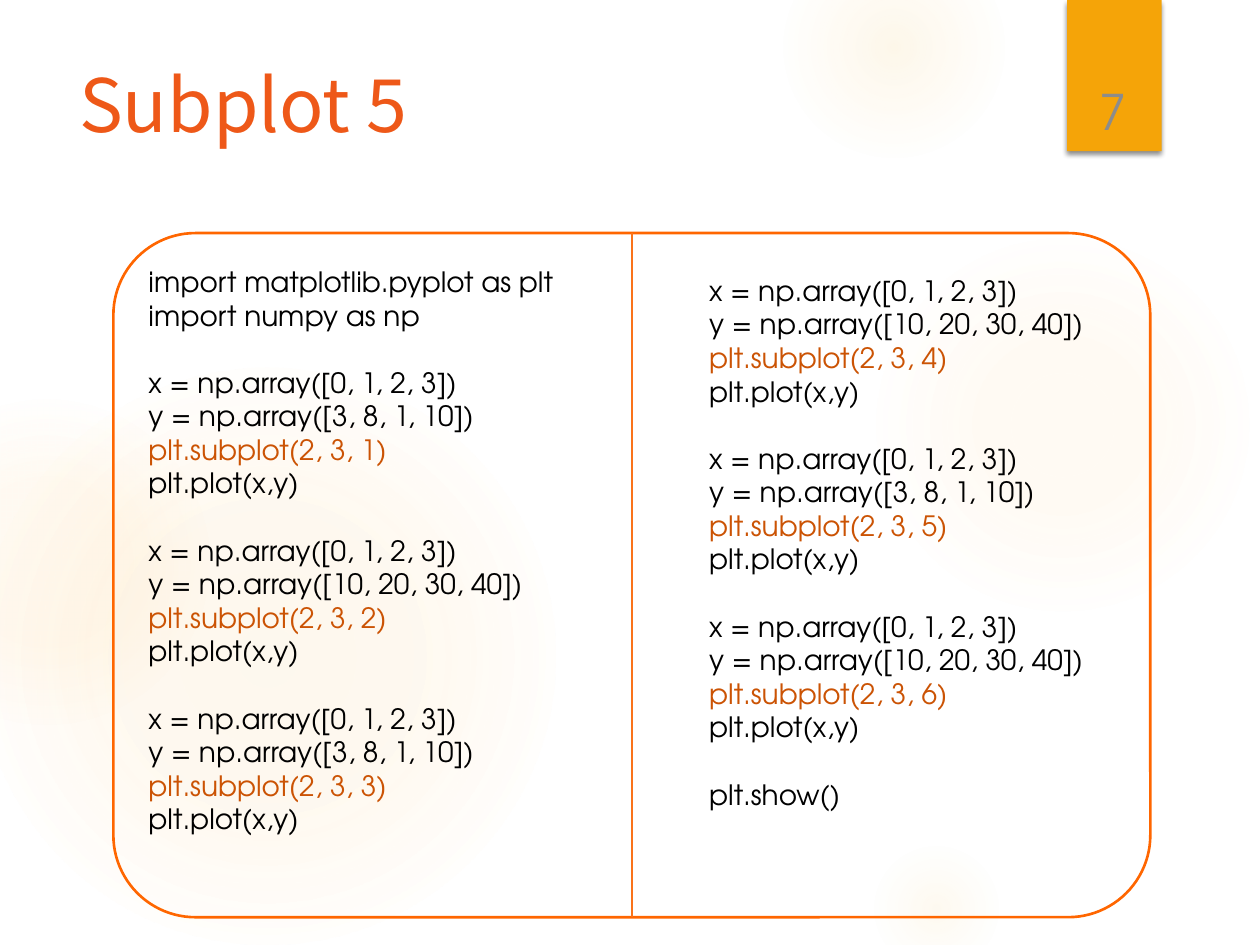
import dataclasses

import lxml.etree
import pptx
import pptx.dml.color
import pptx.enum.shapes
import pptx.enum.text
import pptx.oxml
import pptx.oxml.ns
import pptx.util

Inches = pptx.util.Inches
Pt = pptx.util.Pt
Shape = pptx.enum.shapes.MSO_SHAPE
Anchor = pptx.enum.text.MSO_ANCHOR
Align = pptx.enum.text.PP_ALIGN
qn = pptx.oxml.ns.qn


@dataclasses.dataclass(frozen=True)
class Theme:
    """Colours, fonts and type sizes of the slide."""
    glow: str = "FAC96A"
    tab: str = "F5A408"
    title: str = "EE5818"
    frame: str = "FF6600"
    rule: str = "FA731A"
    code: str = "000000"
    mark: str = "CB5304"
    number: str = "8C8C8C"
    head_font: str = "Noto Sans CJK KR"
    body_font: str = "TeX Gyre Adventor"
    head_size: int = 42
    number_size: int = 28
    code_size: int = 16
    code_gap: float = 19.2


THEME = Theme()

GLOWS = [
    ((6.89, 1.83, 3.08), ((0, 7), (36, 6), (69, 0))),
    ((6.22, -0.5, 1.75), ((0, 14), (36, 7), (73, 0))),
    ((6.89, 6.67, 1.08), ((0, 10), (31, 5), (66, 0))),
    ((-0.17, 2.92, 4.58), ((0, 11), (36, 10), (75, 0))),
    ((-0.92, 3.17, 2.58), ((0, 8), (36, 8), (72, 0))),
]
IMPORTS = ["import matplotlib.pyplot as plt", "import numpy as np"]
RISE = "3, 8, 1, 10"
LINEAR = "10, 20, 30, 40"


def rgb(code):
    """Return a colour from its hex code."""
    return pptx.dml.color.RGBColor.from_string(code)


def style(para, font, size, color):
    """Format every run of a paragraph."""
    for run in para.runs:
        run.font.name = font
        run.font.size = Pt(size)
        run.font.color.rgb = rgb(color)


def add_box(slide, box, wrap=True):
    """Add an empty text box and return its text frame."""
    frame = slide.shapes.add_textbox(*map(Inches, box)).text_frame
    frame.word_wrap = wrap
    return frame


def add_form(slide, kind, box):
    """Add a preset shape without shadow, fill or line."""
    form = slide.shapes.add_shape(kind, *map(Inches, box))
    form.shadow.inherit = False
    form.fill.background()
    form.line.fill.background()
    return form


def add_glow(slide, box, stops):
    """Add a round glow that fades out from its centre."""
    form = add_form(slide, Shape.OVAL, box)
    marks = "".join(
        f'<a:gs pos="{pos * 1000}"><a:srgbClr val="{THEME.glow}">'
        f'<a:alpha val="{alpha * 1000}"/></a:srgbClr></a:gs>'
        for pos, alpha in stops)
    fill = pptx.oxml.parse_xml(
        f'<a:gradFill {pptx.oxml.ns.nsdecls("a")} rotWithShape="1">'
        f'<a:gsLst>{marks}</a:gsLst><a:path path="circle">'
        '<a:fillToRect l="50000" t="50000" r="50000" b="50000"/>'
        '</a:path></a:gradFill>')
    props = form.fill._xPr
    props.replace(props.find(qn("a:noFill")), fill)


def add_tab(slide, box, number):
    """Add the page tab with its shadow and number."""
    left, top, width, height = box
    form = add_form(slide, Shape.RECTANGLE, box)
    form.fill.solid()
    form.fill.fore_color.rgb = rgb(THEME.tab)
    effects = form.element.spPr.find(qn("a:effectLst"))
    shade = lxml.etree.SubElement(
        effects, qn("a:outerShdw"), blurRad=str(Pt(3)), dist=str(Pt(2)),
        dir="5400000", algn="t", rotWithShape="0")
    color = lxml.etree.SubElement(shade, qn("a:srgbClr"), val="000000")
    lxml.etree.SubElement(color, qn("a:alpha"), val="45000")
    frame = add_box(slide, (left + 0.02, top + 0.32, width - 0.06, height - 0.36))
    frame.vertical_anchor = Anchor.BOTTOM
    frame.text = number
    para = frame.paragraphs[0]
    para.alignment = Align.CENTER
    style(para, THEME.body_font, THEME.number_size, THEME.number)


def add_title(slide, box, text):
    """Add the slide title."""
    frame = add_box(slide, box)
    frame.text = text
    para = frame.paragraphs[0]
    para.line_spacing = 0.9
    style(para, THEME.head_font, THEME.head_size, THEME.title)


def plot(index, values):
    """Return the code lines of one subplot."""
    return ["x = np.array([0, 1, 2, 3])", f"y = np.array([{values}])",
            f"plt.subplot(2, 3, {index})", "plt.plot(x,y)"]


def add_code(slide, box, blocks, wrap):
    """Add blocks of code with a one-line gap between them."""
    frame = add_box(slide, box, wrap)
    frame.text = "\n".join(line for block in blocks for line in block)
    paras = iter(frame.paragraphs)
    for order, block in enumerate(blocks):
        for row, line in enumerate(block):
            para = next(paras)
            if order and not row:
                para.space_before = Pt(THEME.code_gap)
            color = THEME.mark if line.startswith("plt.subplot") else THEME.code
            style(para, THEME.body_font, THEME.code_size, color)


def add_panel(slide, box):
    """Add the rounded panel with two columns of code and a rule."""
    left, top, width, height = box
    form = add_form(slide, Shape.ROUNDED_RECTANGLE, box)
    form.adjustments[0] = 0.12
    form.line.color.rgb = rgb(THEME.frame)
    form.line.width = Pt(1.5)
    add_code(slide, (left + 0.18, top + 0.2, 4.45, height - 0.21),
             [IMPORTS, plot(1, RISE), plot(2, LINEAR), plot(3, RISE)], True)
    add_code(slide, (left + 4.63, top + 0.27, 3.18, 4.68),
             [plot(4, LINEAR), plot(5, RISE), plot(6, LINEAR), ["plt.show()"]],
             False)
    mid = left + width / 2
    rule = slide.shapes.add_connector(
        pptx.enum.shapes.MSO_CONNECTOR.STRAIGHT,
        *map(Inches, (mid, top, mid, top + height)))
    rule.line.color.rgb = rgb(THEME.rule)
    rule.line.width = Pt(0.75)
    lxml.etree.SubElement(rule.element.spPr, qn("a:effectLst"))


def main():
    """Build the slide and save it."""
    deck = pptx.Presentation()
    deck.slide_width, deck.slide_height = Inches(10), Inches(7.5)
    slide = deck.slides.add_slide(deck.slide_layouts[6])
    for (left, top, size), stops in GLOWS:
        add_glow(slide, (left, top, size, size), stops)
    add_tab(slide, (8.47, 0, 0.75, 1.2), "7")
    add_title(slide, (0.53, 0.5, 7.72, 1.53), "Subplot 5")
    add_panel(slide, (0.9, 1.85, 8.23, 5.43))
    deck.save("out.pptx")


if __name__ == "__main__":
    main()
